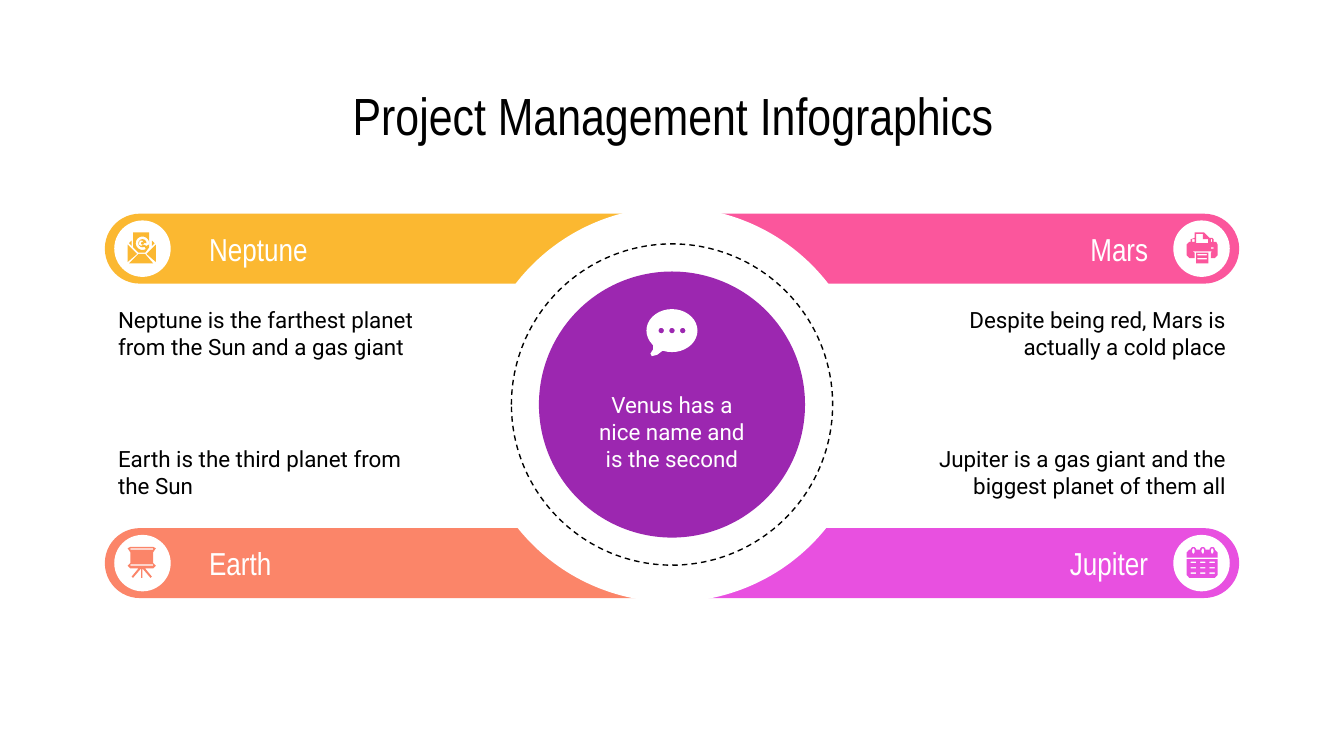
import math
from dataclasses import dataclass
from typing import Any, Optional

from pptx import Presentation
from pptx import util as u
from pptx.dml.color import RGBColor
from pptx.enum import dml, shapes, text

WHITE = RGBColor(0xFF, 0xFF, 0xFF)
BLACK = RGBColor(0, 0, 0)
YELLOW = RGBColor(0xFB, 0xB8, 0x31)
CORAL = RGBColor(0xFB, 0x85, 0x69)
PINK = RGBColor(0xFB, 0x56, 0x9C)
MAGENTA = RGBColor(0xE8, 0x50, 0xE0)
PURPLE = RGBColor(0x9C, 0x27, 0xB0)

OVAL = shapes.MSO_SHAPE.OVAL
ROUND = shapes.MSO_SHAPE.ROUNDED_RECTANGLE
ALIGN = text.PP_ALIGN

SLIDE_WIDTH = 10
SLIDE_HEIGHT = SLIDE_WIDTH * 9 / 16
SIDE = 0.78
CENTER_X, CENTER_Y = 5, 3.01


@dataclass(frozen=True)
class Box:
    left: float
    top: float
    width: float
    height: float


@dataclass(frozen=True)
class Style:
    font: str
    size: float
    color: RGBColor
    align: Any = ALIGN.LEFT
    insets: tuple = (0.1, 0.1, 0.1, 0.1)


@dataclass(frozen=True)
class Card:
    title: str
    body: str
    color: RGBColor
    on_right: bool
    bar_top: float
    body_top: float


@dataclass(frozen=True)
class Glyph:
    color: RGBColor
    contours: list


def rect(left: float, top: float, width: float, height: float) -> list:
    right, bottom = left + width, top + height
    return [(left, top), (right, top), (right, bottom), (left, bottom)]


def arc(x: float, y: float, radius_x: float, radius_y: float, start: int = 0, end: int = 350) -> list:
    angles = [math.radians(a) for a in range(start, end + 1, 10)]
    return [(x + radius_x * math.cos(a), y + radius_y * math.sin(a)) for a in angles]


CARDS = (
    Card("Neptune", "Neptune is the farthest planet from the Sun and a gas giant", YELLOW, False, 1.59, 2.19),
    Card("Earth", "Earth is the third planet from the Sun", CORAL, False, 3.93, 3.22),
    Card("Mars", "Despite being red, Mars is actually a cold place", PINK, True, 1.59, 2.19),
    Card("Jupiter", "Jupiter is a gas giant and the biggest planet of them all", MAGENTA, True, 3.93, 3.22),
)

COLUMNS = (8.86, 8.93, 9)
PRINTER = (
    Glyph(PINK, [rect(8.9, 1.88, 0.09, 0.08), rect(8.91, 1.89, 0.07, 0.01), rect(8.91, 1.92, 0.07, 0.01)]),
    Glyph(PINK, [
        [(8.89, 1.73), (8.96, 1.73), (9, 1.77), (9.02, 1.77), (9.03, 1.78), (9.03, 1.8), (9.05, 1.8),
         (9.06, 1.82), (9.06, 1.9), (9.04, 1.92), (9.01, 1.92), (9.01, 1.88), (9.02, 1.87), (8.87, 1.87),
         (8.89, 1.88), (8.89, 1.92), (8.85, 1.92), (8.83, 1.9), (8.83, 1.82), (8.85, 1.8), (8.86, 1.8),
         (8.86, 1.78), (8.89, 1.77)],
        [(8.9, 1.74), (8.95, 1.74), (8.95, 1.78), (8.99, 1.78), (8.99, 1.81), (8.9, 1.81)],
        rect(8.87, 1.78, 0.02, 0.02), rect(9.01, 1.78, 0.01, 0.02), rect(9.01, 1.84, 0.02, 0.01)]),
)
CALENDAR = (
    Glyph(MAGENTA, [
        [(8.83, 4.16), (9.06, 4.16), (9.06, 4.28), (9.04, 4.3), (8.85, 4.3), (8.83, 4.28)],
        *(rect(left, top, 0.04, 0.01) for top in (4.18, 4.22, 4.26) for left in COLUMNS)]),
    Glyph(MAGENTA, [
        [(8.83, 4.15), (8.83, 4.11), (8.85, 4.09)]
        + [point for left in COLUMNS for point in arc(left + 0.02, 4.09, 0.02, 0.02, 180, 360)]
        + [(9.04, 4.09), (9.06, 4.11), (9.06, 4.15)],
        *(arc(left + 0.02, 4.1, 0.01, 0.02) for left in COLUMNS)]),
)
EASEL = (
    Glyph(CORAL, [
        [(0.97, 4.07), (1.14, 4.07), (1.16, 4.08), (1.14, 4.11), (1.14, 4.19), (1.16, 4.21), (1.14, 4.23),
         (1.08, 4.23), (1.13, 4.29), (1.12, 4.3), (1.06, 4.23), (1.06, 4.3), (1.05, 4.3), (1.05, 4.23),
         (0.99, 4.3), (0.98, 4.29), (1.03, 4.23), (0.97, 4.23), (0.95, 4.21), (0.97, 4.19), (0.97, 4.11),
         (0.95, 4.08)],
        rect(0.97, 4.08, 0.17, 0.01), rect(0.97, 4.2, 0.17, 0.01)]),
)
MAIL = (
    Glyph(YELLOW, [[(0.95, 1.82), (1.02, 1.89), (0.95, 1.95)]]),
    Glyph(YELLOW, [[(1.16, 1.82), (1.09, 1.89), (1.16, 1.95)]]),
    Glyph(YELLOW, [arc(1.06, 1.81, 0.01, 0.01)]),
    Glyph(YELLOW, [[(1.03, 1.89), (1.08, 1.89), (1.14, 1.96), (0.96, 1.96)]]),
    Glyph(YELLOW, [[(0.98, 1.79), (0.96, 1.81), (0.98, 1.83)]]),
    Glyph(YELLOW, [[(1.13, 1.79), (1.15, 1.81), (1.13, 1.83)]]),
    Glyph(YELLOW, [
        [(0.99, 1.73), (1.11, 1.73), (1.11, 1.84), (1.08, 1.88), (1.03, 1.88), (0.99, 1.84)],
        arc(1.06, 1.81, 0.05, 0.05, 60, 370)
        + [(1.09, 1.83), (1.07, 1.82), (1.05, 1.83), (1.03, 1.82), (1.04, 1.79), (1.06, 1.79), (1.07, 1.81),
           (1.09, 1.81)]
        + arc(1.06, 1.81, 0.03, 0.03, 60, 350)[::-1]]),
)
BUBBLE = (
    Glyph(WHITE, [
        arc(5, 2.46, 0.19, 0.16, -220, 110)
        + [(4.93, 2.61), (4.89, 2.64), (4.85, 2.65), (4.84, 2.63), (4.86, 2.6), (4.86, 2.57)],
        *(arc(x, 2.46, 0.02, 0.02) for x in (4.92, 5, 5.08))]),
)


def set_values(target: Any, values: dict) -> None:
    for name, value in values.items():
        setattr(target, name, value)


def place(box: Box) -> tuple:
    return tuple(u.Inches(n) for n in (box.left, box.top, box.width, box.height))


def paint(shape: Any, color: Optional[RGBColor]) -> None:
    shape.shadow.inherit = False
    shape.line.fill.background()
    if color is None:
        shape.fill.background()
    else:
        shape.fill.solid()
        shape.fill.fore_color.rgb = color


def add_shape(page: Any, kind: Any, box: Box, color: Optional[RGBColor]) -> Any:
    shape = page.shapes.add_shape(kind, *place(box))
    paint(shape, color)
    return shape


def add_glyph(page: Any, glyph: Glyph) -> None:
    outlines = [[(u.Inches(x), u.Inches(y)) for x, y in contour] for contour in glyph.contours]
    builder = page.shapes.build_freeform(*outlines[0][0])
    for index, outline in enumerate(outlines):
        if index:
            builder.move_to(*outline[0])
        builder.add_line_segments(outline[1:], close=True)
    paint(builder.convert_to_shape(), glyph.color)


def write(shape: Any, words: str, style: Style) -> None:
    left, top, right, bottom = (u.Inches(n) for n in style.insets)
    set_values(shape.text_frame, {
        "word_wrap": True, "vertical_anchor": text.MSO_ANCHOR.MIDDLE,
        "margin_left": left, "margin_top": top, "margin_right": right, "margin_bottom": bottom})
    para = shape.text_frame.paragraphs[0]
    para.alignment = style.align
    span = para.add_run()
    span.text = words
    set_values(span.font, {"name": style.font, "size": u.Pt(style.size)})
    span.font.color.rgb = style.color


def add_text(page: Any, box: Box, words: str, style: Style) -> None:
    write(page.shapes.add_textbox(*place(box)), words, style)


def add_card(page: Any, card: Card) -> None:
    def mirrored(left: float, width: float) -> float:
        return SLIDE_WIDTH - left - width if card.on_right else left

    align = ALIGN.RIGHT if card.on_right else ALIGN.LEFT
    insets = (0.1, 0.1, 0.6, 0.1) if card.on_right else (0.7, 0.1, 0.1, 0.1)
    bar = add_shape(page, ROUND, Box(mirrored(SIDE, 4.22), card.bar_top, 4.22, 0.52), card.color)
    bar.adjustments[0] = 0.5
    write(bar, card.title, Style("Arial Narrow", 17, WHITE, align, insets))
    add_text(page, Box(mirrored(SIDE, 2.48), card.body_top, 2.48, 0.58),
             card.body, Style("Roboto", 12, BLACK, align))
    add_shape(page, OVAL, Box(mirrored(0.85, 0.42), card.bar_top + 0.05, 0.42, 0.42), WHITE)


def add_circle(page: Any, size: float, color: Optional[RGBColor]) -> Any:
    return add_shape(page, OVAL, Box(CENTER_X - size / 2, CENTER_Y - size / 2, size, size), color)


def add_hub(page: Any) -> None:
    add_circle(page, 2.94, WHITE)
    ring = add_circle(page, 2.39, None)
    ring.line.color.rgb = BLACK
    set_values(ring.line, {"width": u.Pt(0.75), "dash_style": dml.MSO_LINE.DASH})
    core = add_circle(page, 1.98, PURPLE)
    write(core, "Venus has a nice name and is the second",
          Style("Roboto", 12, WHITE, ALIGN.CENTER, (0.1, 0.5, 0.1, 0.1)))


def main() -> None:
    deck = Presentation()
    set_values(deck, {"slide_width": u.Inches(SLIDE_WIDTH), "slide_height": u.Inches(SLIDE_HEIGHT)})
    page = deck.slides.add_slide(deck.slide_layouts[6])
    for card in CARDS:
        add_card(page, card)
    for glyph in PRINTER + CALENDAR + EASEL + MAIL:
        add_glyph(page, glyph)
    add_text(page, Box(SIDE, 0.59, 8.45, 0.53), "Project Management Infographics",
             Style("Arial Narrow", 28, BLACK, ALIGN.CENTER))
    add_hub(page)
    for glyph in BUBBLE:
        add_glyph(page, glyph)
    deck.save("out.pptx")


if __name__ == "__main__":
    main()
